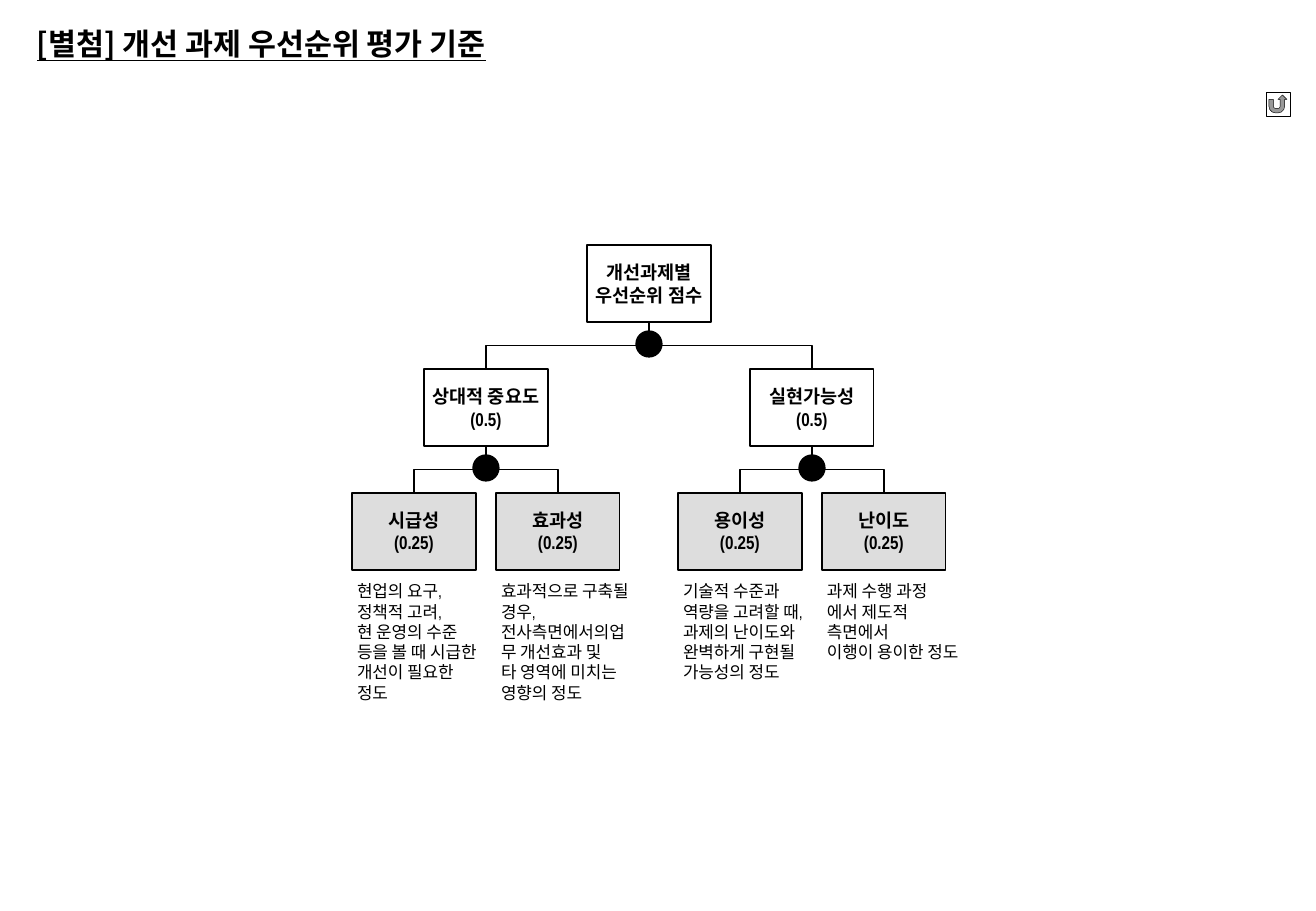
"""Build the slide that shows the priority scoring tree."""
from lxml import etree
from pptx import Presentation
from pptx.dml.color import RGBColor
from pptx.enum.shapes import MSO_CONNECTOR, MSO_SHAPE
from pptx.enum.text import MSO_ANCHOR, PP_ALIGN
from pptx.oxml.ns import qn
from pptx.util import Pt

TITLE = "[별첨] 개선 과제 우선순위 평가 기준"
ROOT = "개선과제별\v우선순위 점수"
TREE = [
    ("상대적 중요도\n(0.5)", [
        ("시급성\v(0.25)", 134,
         "현업의 요구, 정책적 고려,\n현 운영의 수준 등을 볼 때 시급한 개선이 필요한 정도"),
        ("효과성\v(0.25)", 143,
         "효과적으로 구축될 경우,\n전사측면에서의업무 개선효과 및\n타 영역에 미치는 영향의 정도"),
    ]),
    ("실현가능성\n(0.5)", [
        ("용이성\v(0.25)", 147,
         "기술적 수준과\n역량을 고려할 때, 과제의 난이도와 완벽하게 구현될 가능성의 정도"),
        ("난이도\v(0.25)", 143,
         "과제 수행 과정 에서 제도적 측면에서\n이행이 용이한 정도"),
    ]),
]
HANGUL, LATIN = "Noto Sans CJK KR", "Arial Narrow"
BLACK, WHITE, GRAY = "000000", "FFFFFF", "DDDDDD"
PX = 7526
MID, TOP, STEP = 649, 245, 124
WIDE, HIGH, DOT = 124, 77, 26
SPREAD = [163, 72]

deck = Presentation()
deck.slide_width, deck.slide_height = 1316 * PX, 911 * PX
slide = deck.slides.add_slide(deck.slide_layouts[6])
shapes = slide.shapes


def color(code):
    return RGBColor.from_string(code)


def emu(*sizes):
    return [round(size * PX) for size in sizes]


def write(shape, text, size, font=LATIN, bold=False, line=False,
          align=PP_ALIGN.LEFT, pad=(5, 6), wrap=False, anchor=MSO_ANCHOR.TOP):
    frame = shape.text_frame
    frame.text = text
    frame.word_wrap = wrap
    frame.vertical_anchor = anchor
    frame.margin_left = frame.margin_right = pad[0] * PX
    frame.margin_top = frame.margin_bottom = pad[1] * PX
    for para in frame.paragraphs:
        para.alignment = align
        face = para.font
        face.name, face.size = font, Pt(size)
        face.bold, face.underline = bold, line
        face.color.rgb = color(BLACK)
        for latin in para._p.iter(qn("a:latin")):
            east = etree.Element(qn("a:ea"), typeface=HANGUL)
            latin.addnext(east)


def draw(kind, x, y, w, h, fill, weight=0.75):
    shape = shapes.add_shape(kind, *emu(x, y, w, h))
    shape.shadow.inherit = False
    shape.fill.solid()
    shape.fill.fore_color.rgb = color(fill)
    shape.line.color.rgb = color(BLACK)
    shape.line.width = Pt(weight)
    return shape


def label(x, y, w, h, text, size, **style):
    write(shapes.add_textbox(*emu(x, y, w, h)), text, size, **style)


def box(mid, level, text, fill=WHITE):
    shape = draw(MSO_SHAPE.RECTANGLE, mid - WIDE / 2, TOP + level * STEP,
                 WIDE, HIGH, fill)
    write(shape, text, 11, bold=True, align=PP_ALIGN.CENTER,
          anchor=MSO_ANCHOR.MIDDLE)


def link(start, end, level):
    drop = STEP - HIGH
    x, y = (start + end) / 2, TOP + level * STEP + HIGH + drop / 2
    side = 1 if end < start else -1
    reach = abs(end - start) / 2
    wire = shapes.add_connector(MSO_CONNECTOR.ELBOW, *emu(
        x - side * drop / 2, y - reach, x + side * drop / 2, y + reach))
    wire.line.color.rgb = color(BLACK)
    wire.line.width = Pt(0.75)
    props = wire._element.spPr
    props.find(qn("a:xfrm")).set("rot", str((side % 4) * 5400000))
    etree.SubElement(props, qn("a:effectLst"))


def fork(mid, level):
    ends = [mid - SPREAD[level], mid + SPREAD[level]]
    for end in ends:
        link(mid, end, level)
    draw(MSO_SHAPE.OVAL, mid - DOT / 2, TOP + level * STEP + HIGH + 9,
         DOT, DOT, BLACK)
    return ends


label(37, 16, 649, 46, TITLE, 18, font=HANGUL, bold=True, line=True,
      pad=(0, 0), anchor=MSO_ANCHOR.BOTTOM)
draw(MSO_SHAPE.ACTION_BUTTON_RETURN, 1266, 92, 24, 24, WHITE, 0.25)

box(MID, 0, ROOT)
for mid, (name, leaves) in zip(fork(MID, 0), TREE):
    box(mid, 1, name)
    for end, (leaf, width, note) in zip(fork(mid, 1), leaves):
        box(end, 2, leaf, GRAY)
        label(end - WIDE / 2, 575, width, 135, note, 10, wrap=True)

deck.save("out.pptx")
